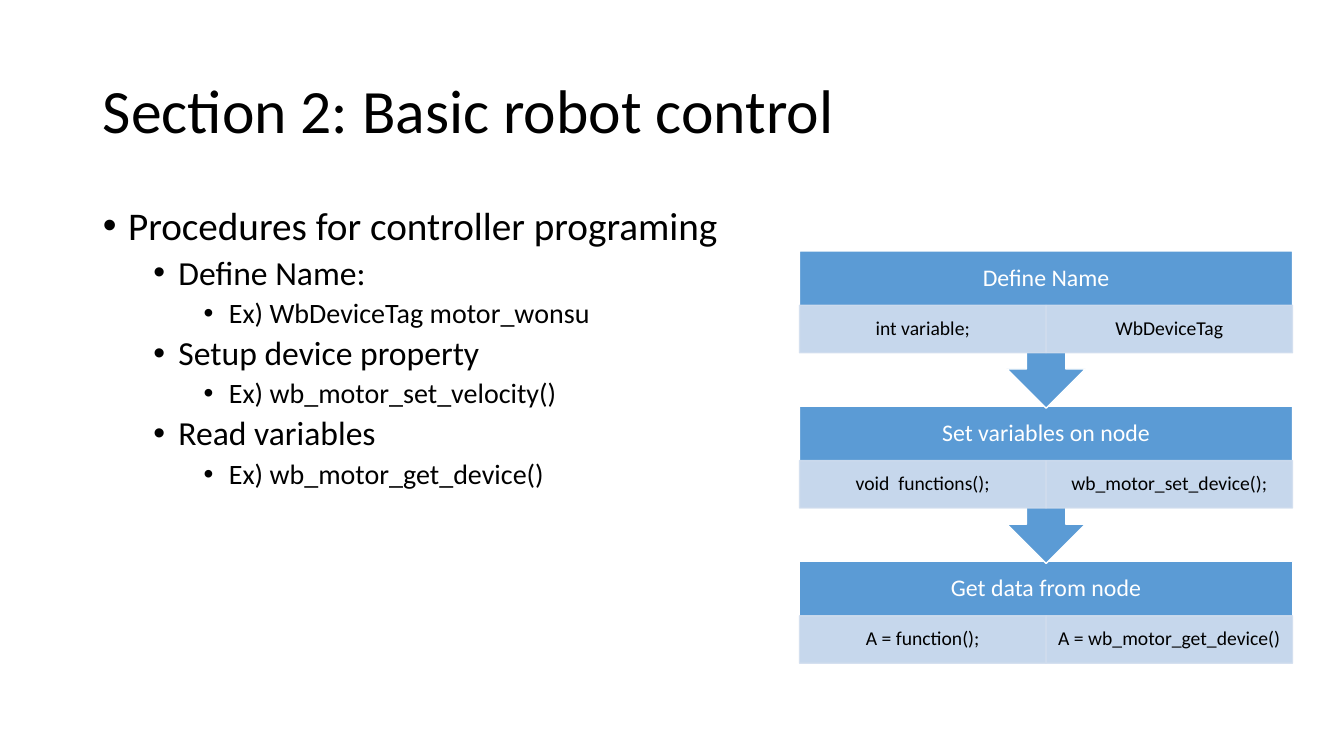
"""Build the slide on the procedure for programming a robot controller."""
from dataclasses import dataclass

from lxml import etree
from pptx import Presentation
from pptx.dml.color import RGBColor
from pptx.enum import shapes, text
from pptx.oxml import ns
from pptx.util import Inches, Pt

HEADING = "Section 2: Basic robot control"
PROCEDURES = [
    (0, "Procedures for controller programing"),
    (1, "Define Name:"),
    (2, "Ex) WbDeviceTag motor_wonsu"),
    (1, "Setup device property"),
    (2, "Ex) wb_motor_set_velocity()"),
    (1, "Read variables"),
    (2, "Ex) wb_motor_get_device()"),
]
STEPS = [
    ("Define Name", ("int variable;", "WbDeviceTag")),
    ("Set variables on node", ("void  functions();", "wb_motor_set_device();")),
    ("Get data from node", ("A = function();", "A = wb_motor_get_device()")),
]


@dataclass(frozen=True)
class Theme:
    font: str = "Calibri"
    ink: str = "000000"
    paper: str = "FFFFFF"
    step: str = "5B9BD5"
    example: str = "D2DEEF"
    example_alpha: int = 90
    heading_size: int = 44
    level_sizes: tuple = (28, 24, 20)
    step_size: int = 17
    example_size: int = 14


THEME = Theme()
WIDTH, HEIGHT = 13.33, 7.5
MARGIN, CONTENT_WIDTH = 0.92, 11.5
FLOW_LEFT, FLOW_TOP, FLOW_WIDTH = 7.93, 2.49, 4.89
STEP_PITCH, CALLOUT_HEIGHT, BOX_HEIGHT = 1.54, 1.56, 1.01
LABEL_HEIGHT, EXAMPLE_TOP, EXAMPLE_HEIGHT = 0.55, 0.54, 0.47
INDENT = 0.25


def place(part, left, top, width, height):
    part.left, part.top = Inches(left), Inches(top)
    part.width, part.height = Inches(width), Inches(height)


def write(paragraph, words, *, size, color=THEME.ink, align=text.PP_ALIGN.LEFT,
          before=0, level=None):
    paragraph.text = words
    paragraph.alignment = align
    paragraph.line_spacing = 0.9
    paragraph.space_before = Pt(before)
    if level is not None:
        paragraph.level = level
        props = paragraph._p.get_or_add_pPr()
        props.set("marL", str(Inches(INDENT * (1 + 2 * level))))
        props.set("indent", str(-Inches(INDENT)))
        etree.SubElement(props, ns.qn("a:buChar"), char="•")
    font = paragraph.font
    font.name, font.size = THEME.font, Pt(size)
    font.color.rgb = RGBColor.from_string(color)


def write_centred(frame, words, inset_x, inset_y, **style):
    frame.word_wrap = True
    frame.vertical_anchor = text.MSO_ANCHOR.MIDDLE
    frame.margin_left = frame.margin_right = Inches(inset_x)
    frame.margin_top = frame.margin_bottom = Inches(inset_y)
    write(frame.paragraphs[0], words, align=text.PP_ALIGN.CENTER, **style)


def add_block(flow, preset, bounds, fill, line, alpha=None):
    block = flow.shapes.add_shape(preset, *map(Inches, bounds))
    block.shadow.inherit = False
    block.fill.solid()
    block.fill.fore_color.rgb = RGBColor.from_string(fill)
    block.line.color.rgb = RGBColor.from_string(line)
    block.line.width = Pt(1)
    if alpha is not None:
        for color in block._element.spPr.iter(ns.qn("a:srgbClr")):
            etree.SubElement(color, ns.qn("a:alpha"), val=str(alpha * 1000))
    return block


def add_step(flow, index, label, examples):
    top = FLOW_TOP + index * STEP_PITCH
    if index == len(STEPS) - 1:
        add_block(flow, shapes.MSO_SHAPE.RECTANGLE,
                  (FLOW_LEFT, top, FLOW_WIDTH, BOX_HEIGHT), THEME.step, THEME.paper)
    else:
        callout = add_block(flow, shapes.MSO_SHAPE.UP_ARROW_CALLOUT,
                            (FLOW_LEFT, top, FLOW_WIDTH, CALLOUT_HEIGHT),
                            THEME.step, THEME.paper)
        callout.rotation = 180
    title = flow.shapes.add_textbox(
        *map(Inches, (FLOW_LEFT, top, FLOW_WIDTH, LABEL_HEIGHT)))
    write_centred(title.text_frame, label, 0.13, 0.13,
                  size=THEME.step_size, color=THEME.paper)
    example_width = FLOW_WIDTH / len(examples)
    for column, words in enumerate(examples):
        bounds = (FLOW_LEFT + column * example_width, top + EXAMPLE_TOP,
                  example_width, EXAMPLE_HEIGHT)
        example = add_block(flow, shapes.MSO_SHAPE.RECTANGLE, bounds,
                            THEME.example, THEME.example, THEME.example_alpha)
        write_centred(example.text_frame, words, 0.11, 0.02, size=THEME.example_size)


def main():
    deck = Presentation()
    deck.slide_width, deck.slide_height = Inches(WIDTH), Inches(HEIGHT)
    slide = deck.slides.add_slide(deck.slide_layouts[1])

    heading, procedures = slide.placeholders
    place(heading, MARGIN, 0.4, CONTENT_WIDTH, 1.45)
    heading.text_frame.vertical_anchor = text.MSO_ANCHOR.MIDDLE
    write(heading.text_frame.paragraphs[0], HEADING, size=THEME.heading_size)

    place(procedures, MARGIN, 2, CONTENT_WIDTH, 4.76)
    body = procedures.text_frame
    body.auto_size = text.MSO_AUTO_SIZE.NONE
    for number, (level, words) in enumerate(PROCEDURES):
        paragraph = body.add_paragraph() if number else body.paragraphs[0]
        write(paragraph, words, size=THEME.level_sizes[level],
              before=5 if number else 0, level=level)

    flow = slide.shapes.add_group_shape()
    for index, (label, examples) in reversed(list(enumerate(STEPS))):
        add_step(flow, index, label, examples)

    deck.save("out.pptx")


if __name__ == "__main__":
    main()
